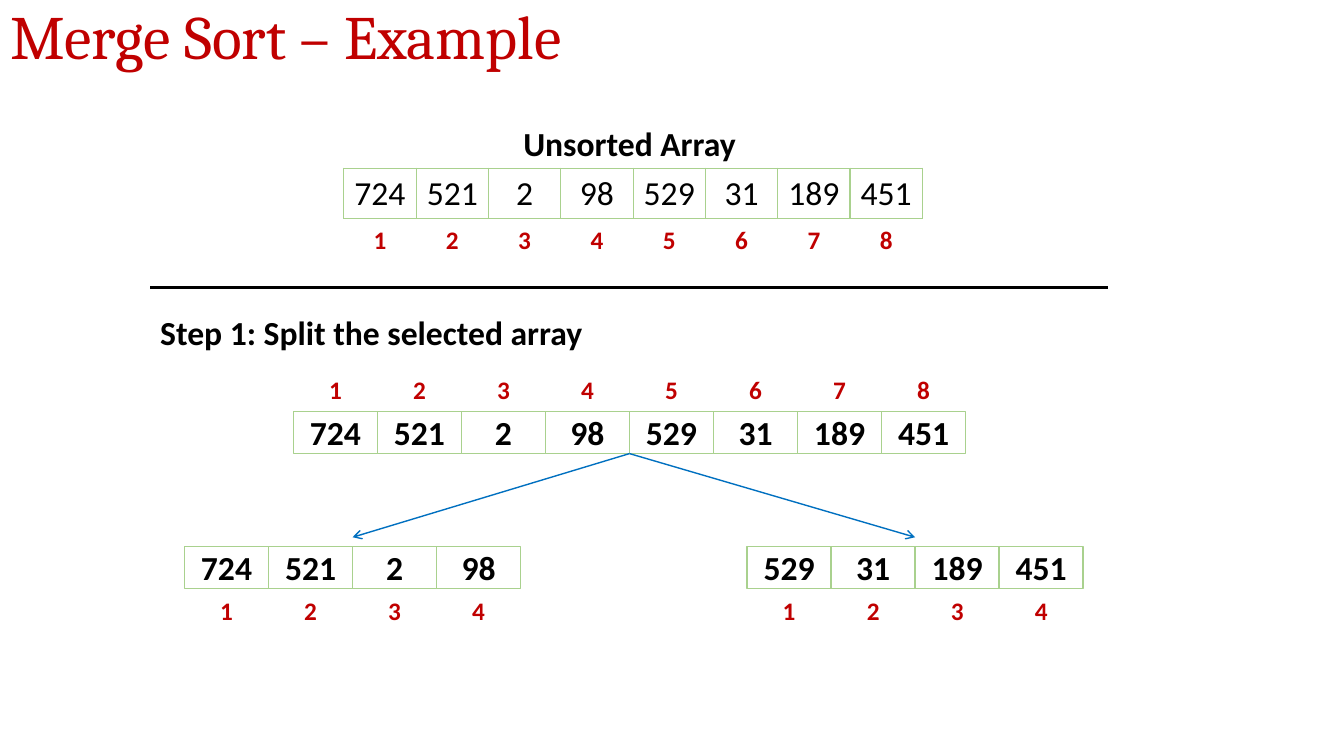
from dataclasses import dataclass
from lxml.etree import SubElement as Sub
from pptx import Presentation
from pptx.dml.color import RGBColor as RGB
from pptx.enum.shapes import MSO_CONNECTOR as Link, MSO_SHAPE as Shape
from pptx.enum.text import MSO_ANCHOR as Anchor, MSO_AUTO_SIZE as Fit, PP_ALIGN as Align
from pptx.oxml.ns import qn
from pptx.util import Inches, Pt


@dataclass(frozen=True)
class Theme:
    """Colours, fonts and type sizes of the slide."""
    red: str = "C00000"
    black: str = "000000"
    white: str = "FFFFFF"
    green: str = "A9D18E"
    blue: str = "0070C0"
    head: str = "Cambria"
    body: str = "Calibri"
    large: int = 44
    text: int = 24
    small: int = 18


THEME = Theme()
DATA = ["724", "521", "2", "98", "529", "31", "189", "451"]
SIDE = 5 / 6
TALL = 0.42


def write(frame, text, size, color, bold=True, font=THEME.body, align=Align.CENTER):
    """Put one formatted run in the first paragraph of a frame."""
    para = frame.paragraphs[0]
    para.alignment = align
    run = para.add_run()
    run.text = text
    run.font.name = font
    run.font.size = Pt(size)
    run.font.bold = bold
    run.font.color.rgb = RGB.from_string(color)
    return para


def index(items):
    """Number the items from one."""
    return [str(n) for n in range(1, len(items) + 1)]


def add_title(slide, text, box):
    """Place and format the title in its box."""
    title = slide.shapes.title
    title.left, title.top, title.width, title.height = map(Inches, box)
    frame = title.text_frame
    frame.auto_size = Fit.NONE
    frame.vertical_anchor = Anchor.MIDDLE
    para = write(frame, text, THEME.large, THEME.red, False, THEME.head, Align.LEFT)
    para.line_spacing = 0.9


def add_label(slide, text, box, align, wrap):
    """Add a bold heading in a box."""
    frame = slide.shapes.add_textbox(*map(Inches, box)).text_frame
    frame.word_wrap = wrap
    frame.auto_size = Fit.SHAPE_TO_FIT_TEXT
    write(frame, text, THEME.text, THEME.black, align=align)


def set_edge(cell, color):
    """Draw all four borders of a cell, or none without a colour."""
    props = cell._tc.get_or_add_tcPr()
    for side in ("a:lnL", "a:lnR", "a:lnT", "a:lnB"):
        line = Sub(props, qn(side), w=str(Pt(1)))
        if color:
            Sub(Sub(line, qn("a:solidFill")), qn("a:srgbClr"), val=color)
        else:
            Sub(line, qn("a:noFill"))


def add_grid(slide, items, box, size, color, bold, edge=None):
    """Add a one-row table with equal columns in a box."""
    table = slide.shapes.add_table(1, len(items), *map(Inches, box)).table
    table.first_row = table.horz_banding = False
    for cell, text in zip(table.iter_cells(), items):
        set_edge(cell, edge)
        cell.fill.background()
        cell.margin_left = cell.margin_right = Inches(0.05)
        cell.vertical_anchor = Anchor.MIDDLE
        write(cell.text_frame, text, size, color, bold)


def add_row(slide, items, left, top, size, color, edge=None):
    """Add a row of touching boxes from a left top corner."""
    for n, text in enumerate(items):
        box = slide.shapes.add_shape(
            Shape.RECTANGLE, *map(Inches, (left + n * SIDE, top, SIDE, TALL)))
        box.shadow.inherit = False
        box.fill.solid()
        box.fill.fore_color.rgb = RGB.from_string(THEME.white)
        if edge:
            box.line.color.rgb = RGB.from_string(edge)
            box.line.width = Pt(1)
        else:
            box.line.fill.background()
        box.text_frame.vertical_anchor = Anchor.MIDDLE
        write(box.text_frame, text, size, color)


def add_array(slide, items, left, top, gap):
    """Add an array with its index row at a vertical gap."""
    add_row(slide, items, left, top, THEME.text, THEME.black, THEME.green)
    add_row(slide, index(items), left, top + gap, THEME.small, THEME.red)


def add_line(slide, start, end, color, width, arrow=False):
    """Join two points with a line or an arrow."""
    line = slide.shapes.add_connector(Link.STRAIGHT, *map(Inches, start + end))
    line.line.color.rgb = RGB.from_string(color)
    line.line.width = Pt(width)
    if arrow:
        Sub(line.line._get_or_add_ln(), qn("a:tailEnd"), type="arrow")
    Sub(line._element.spPr, qn("a:effectLst"))


def add_input(slide, left, top, width):
    """Add the unsorted array with its heading and index."""
    add_label(slide, "Unsorted Array", (left + 1.67, top, 2.33, 0.5), Align.CENTER, False)
    add_grid(slide, DATA, (left, top + 0.5, width, 0.5),
             THEME.text, THEME.black, False, THEME.green)
    add_grid(slide, index(DATA), (left, top + 1.01, width, 0.41),
             THEME.small, THEME.red, True)


def add_split(slide, left, top):
    """Add the step heading, the whole array and its two halves."""
    add_label(slide, "Step 1: Split the selected array",
              (left, top, 9.25, 0.5), Align.LEFT, True)
    half = len(DATA) // 2
    whole = left + 1.42
    add_array(slide, DATA, whole, top + 1.03, -0.43)
    root = (whole + half * SIDE, top + 1.45)
    parts = ((DATA[:half], left + 0.34, 2), (DATA[half:], left + 5.92, 2))
    for items, start, tip in parts:
        add_array(slide, items, start, top + 2.37, 0.43)
        add_line(slide, root, (start + tip * SIDE, top + 2.28), THEME.blue, 1, True)


def main():
    """Build and save the slide."""
    deck = Presentation()
    deck.slide_width, deck.slide_height = Inches(13.33), Inches(7.5)
    slide = deck.slides.add_slide(deck.slide_layouts[5])
    add_title(slide, "Merge Sort – Example", (0, 0, 13.33, 0.78))
    add_input(slide, 3.41, 1.17, 5.74)
    add_line(slide, (1.49, 2.85), (10.99, 2.85), THEME.black, 2.25)
    add_split(slide, 1.49, 3.05)
    deck.save("out.pptx")


if __name__ == "__main__":
    main()
